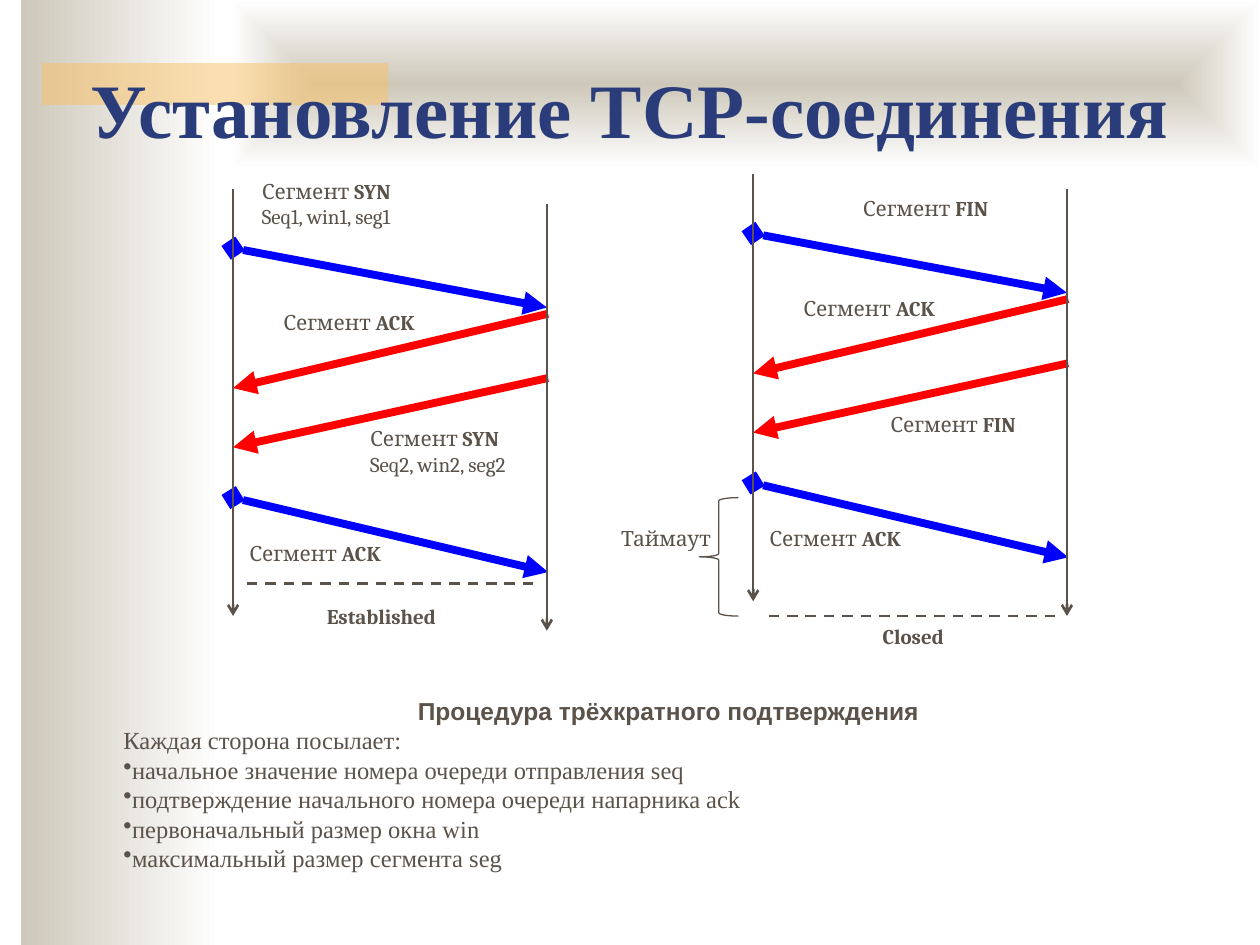
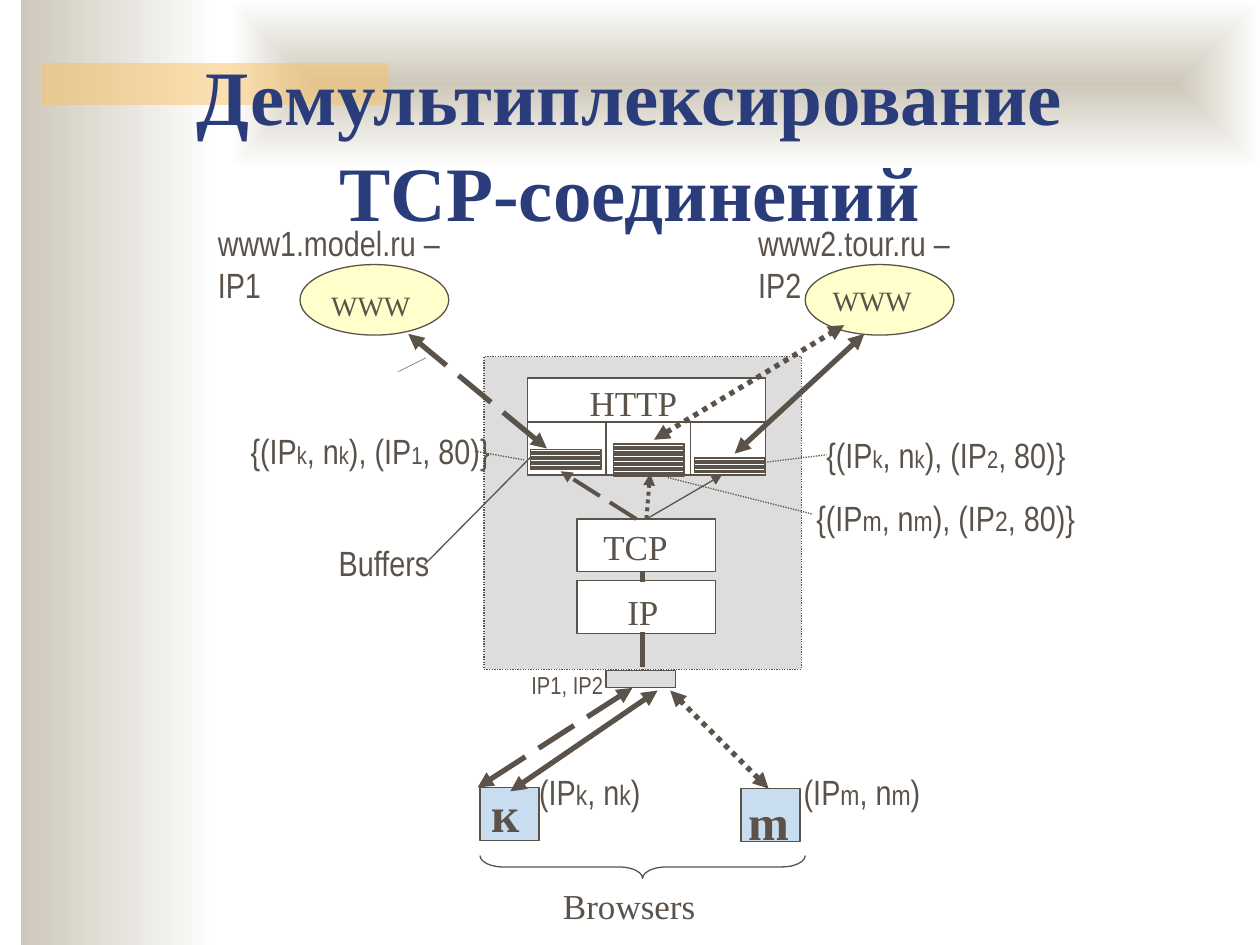
from lxml import etree
from pptx import Presentation
from pptx.dml.color import RGBColor
from pptx.enum.dml import MSO_LINE, MSO_PATTERN
from pptx.enum.shapes import MSO_CONNECTOR, MSO_SHAPE
from pptx.enum.text import PP_ALIGN
from pptx.oxml.ns import qn
from pptx.util import Pt

RECT, OVAL, BRACE = MSO_SHAPE.RECTANGLE, MSO_SHAPE.OVAL, MSO_SHAPE.LEFT_BRACE
STRAIGHT = MSO_CONNECTOR.STRAIGHT
DASH, LONG_DASH, DOTS = MSO_LINE.DASH, MSO_LINE.LONG_DASH, MSO_LINE.ROUND_DOT
STRIPES = MSO_PATTERN.DARK_HORIZONTAL
LEFT, CENTER = PP_ALIGN.LEFT, PP_ALIGN.CENTER

INK = RGBColor(0x5B, 0x52, 0x49)
NAVY = RGBColor(0x2A, 0x3D, 0x7A)
SAND = RGBColor(0xCE, 0xC8, 0xBA)
AMBER = RGBColor(0xFA, 0xC1, 0x64)
WHITE = RGBColor(0xFF, 0xFF, 0xFF)
BLUE = RGBColor(0x00, 0x00, 0xFF)
RED = RGBColor(0xFF, 0x00, 0x00)
GRAY = RGBColor(0xDD, 0xDD, 0xDD)
CREAM = RGBColor(0xFF, 0xFF, 0xCC)
SKY = RGBColor(0xC9, 0xDD, 0xF1)


def font(name, size, bold=False):
    return {"name": name, "size": Pt(size), "bold": bold}


TITLE = font("Times New Roman", 44, True)
SEGMENT, SEGMENT_BOLD = font("Cambria", 12), font("Cambria", 12, True)
BODY, BODY_BOLD = font("Times New Roman", 14), font("Arial", 14, True)
LAYER, SERVER = font("Times New Roman", 20), font("Times New Roman", 16)
CLIENT = font("Times New Roman", 28, True)
ADDRESS, NOTE = font("Arial Narrow", 20), font("Arial Narrow", 14)
INDEX = font("Arial Narrow", 16)

HANDSHAKE_TITLE = ["Установление TCP-соединения"]
SESSIONS = [
    {"shift": (0, 0), "first": (142.6, 98.6),
     "opening": ["Сегмент |SYN", "Seq1, win1, seg1"],
     "reply": ["Сегмент |SYN", "Seq2, win2, seg2"],
     "state": "Established", "state_at": (167, 341.3), "state_line": (141, 333.4)},
    {"shift": (297.2, -8.4), "first": (486, 108),
     "opening": ["Сегмент |FIN"], "reply": ["Сегмент |FIN"],
     "state": "Closed", "state_at": (470.9, 352.8), "state_line": (439.2, 352)},
]
ACK = ["Сегмент |ACK"]
MESSAGES = [
    (133.2, 141.8, 312.5, 175.7, BLUE, "diamond", "triangle"),
    (133.2, 255.6, 313.2, 216, RED, "triangle", None),
    (133.2, 221.8, 313.2, 179.3, RED, "triangle", None),
    (133.2, 284.4, 313.2, 326.9, BLUE, "diamond", "triangle"),
]
TIMELINES = [(133.2, 108), (312.5, 116.4)]
TIMELINE_LENGTH = 244
PROCEDURE = "Процедура трёхкратного подтверждения"
SENDS = "Каждая сторона посылает:"
SENT_VALUES = [
    "начальное значение номера очереди отправления seq",
    "подтверждение начального номера очереди напарника ack",
    "первоначальный размер окна win",
    "максимальный размер сегмента seg",
]

DEMUX_TITLE = ["Демультиплексирование", "TCP-соединений"]
DEMUX_BOXES = [
    (RECT, 276.5, 203.8, 181.4, 178.6, GRAY, DOTS),
    (OVAL, 171.4, 151.2, 85, 40.3, CREAM, None),
    (OVAL, 460.1, 151.2, 85, 40.3, CREAM, None),
    (RECT, 346.3, 383, 39.6, 10, GRAY, None),
    (RECT, 423.4, 450.7, 33.8, 30.2, SKY, None),
    (RECT, 274.3, 450, 33.8, 30.2, SKY, None),
    (RECT, 329.8, 296.6, 79.2, 30.2, WHITE, None),
    (RECT, 329.8, 331.9, 79.2, 30.2, WHITE, None),
    (RECT, 301.3, 241.2, 136, 30.2, WHITE, None),
    (RECT, 301.3, 216, 136, 25.2, WHITE, None),
]
BUFFERS = [(303.1, 257, 11.5), (350.6, 253.4, 18.7), (396.7, 261.4, 8.6)]
BUFFER_WIDTH = 40.3
PLAIN_LINES = [
    (346.3, 241.2, 346.3, 271.4, 0.75, None),
    (394.6, 241.2, 394.6, 271.4, 0.75, None),
    (227.5, 212.4, 243.4, 204.5, 0.25, None),
    (367.2, 380.9, 367.2, 361.4, 3, None),
    (367.2, 332.6, 367.2, 326.2, 3, None),
    (242.6, 322.6, 303.1, 261.4, 0.75, None),
    (381.6, 272.9, 464.4, 293.8, 0.75, DOTS),
    (437, 264.2, 472.3, 259.9, 0.75, DOTS),
    (271.4, 257.8, 299.5, 262.8, 0.75, DOTS),
]
TO_BUFFERS = [
    (363.6, 296.6, 320.4, 269.3, 2.25, LONG_DASH),
    (369.4, 296.6, 371.5, 270.7, 2.25, DOTS),
    (369.4, 296.6, 412.6, 271.4, 0.75, None),
]
CONNECTIONS = [
    (291.6, 452.2, 375.8, 394.6, None),
    (419.8, 259.2, 493.9, 190.8, None),
    (272.9, 450, 361.4, 393.1, LONG_DASH),
    (312.5, 256.3, 233.3, 190.8, LONG_DASH),
    (439.2, 450.7, 383, 394.6, DOTS),
    (373.7, 251.3, 482.4, 185.8, DOTS),
]
DEMUX_LABELS = [
    ("WWW", 182.2, 161.3, 90.7, SERVER, None),
    ("WWW", 468.7, 158.4, 90.7, SERVER, None),
    ("Browsers", 314.6, 501.8, 167, LAYER, None),
    ("к", 273.6, 444.2, 30, CLIENT, None),
    ("m", 420.5, 448.6, 89.3, CLIENT, None),
    ("TCP", 337.7, 296.6, 85.7, LAYER, None),
    ("IP", 351.4, 334.1, 38.9, LAYER, None),
    ("HTTP", 329.8, 214.6, 136, LAYER, None),
    ("www1.model.ru – IP1", 117.4, 123.1, 164.2, ADDRESS, None),
    ("www2.tour.ru – IP2", 426.2, 123.1, 149, ADDRESS, None),
    ("(IP|k|, n|k|)", 301, 437, 96.5, ADDRESS, INDEX),
    ("(IP|m|, n|m|)", 452.2, 437, 119.5, ADDRESS, INDEX),
    ("{(IP|k|, n|k|), (IP|1|, 80)}", 136.1, 241.9, 191.5, ADDRESS, NOTE),
    ("{(IP|k|, n|k|), (IP|2|, 80)}", 465.1, 244.1, 175, ADDRESS, NOTE),
    ("{(IP|m|, n|m|), (IP|2|, 80)}", 459.4, 280.1, 180, ADDRESS, INDEX),
    ("Buffers", 186.5, 306, 79.2, ADDRESS, None),
    ("IP1, IP2", 296.6, 379.4, 63.4, NOTE, None),
]


def add_box(slide, kind, x, y, w, h, fill=None, line=None, width=0.75, dash=None):
    box = slide.shapes.add_shape(kind, Pt(x), Pt(y), Pt(w), Pt(h))
    box.shadow.inherit = False
    if fill is None:
        box.fill.background()
    else:
        box.fill.solid()
        box.fill.fore_color.rgb = fill
    if line is None:
        box.line.fill.background()
    else:
        box.line.color.rgb = line
        box.line.width = Pt(width)
        box.line.dash_style = dash
    return box


def add_line(slide, x1, y1, x2, y2, width=0.75, color=INK, dash=None, head=None, tail=None):
    line = slide.shapes.add_connector(STRAIGHT, Pt(x1), Pt(y1), Pt(x2), Pt(y2))
    line.line.color.rgb = color
    line.line.width = Pt(width)
    line.line.dash_style = dash
    properties = line.element.spPr
    outline = properties.find(qn("a:ln"))
    for tag, end in (("a:headEnd", head), ("a:tailEnd", tail)):
        if end:
            etree.SubElement(outline, qn(tag), type=end)
    etree.SubElement(properties, qn("a:effectLst"))


def add_runs(paragraph, marked, main, other, color=INK):
    for number, part in enumerate(marked.split("|")):
        run = paragraph.add_run()
        run.text = part
        for key, value in (other if number % 2 else main).items():
            setattr(run.font, key, value)
        run.font.color.rgb = color


def add_text(slide, x, y, w, h, lines, main, other=None, color=INK, align=LEFT, fill=None, **layout):
    label = slide.shapes.add_textbox(Pt(x), Pt(y), Pt(w), Pt(h))
    if fill is not None:
        label.fill.solid()
        label.fill.fore_color.rgb = fill
    frame = label.text_frame
    for key, value in {"word_wrap": True, **layout}.items():
        setattr(frame, key, value)
    for number, line in enumerate(lines):
        paragraph = frame.add_paragraph() if number else frame.paragraphs[0]
        paragraph.alignment = align
        add_runs(paragraph, line, main, other, color)
    return frame


def add_title(slide, y, lines):
    frame = add_text(slide, 0, y, 720, 79.2, lines, TITLE, color=NAVY, align=CENTER,
                     margin_top=Pt(9))
    for paragraph in frame.paragraphs[1:]:
        paragraph.space_before = Pt(2)


def decorate(layout, slide):
    side = add_box(slide, RECT, 12, 0, 114, 540)
    top = add_box(slide, RECT, 132, 0, 588, 96)
    accent = add_box(slide, RECT, 24, 36, 198, 24, AMBER)
    for band in (side, top):
        band.fill.gradient()
        band.fill.gradient_angle = 0
        for stop, color in zip(band.fill.gradient_stops, (SAND, WHITE)):
            stop.color.rgb = color
    linear = top.element.spPr.find(".//" + qn("a:lin"))
    shade = etree.Element(qn("a:path"), path="shape")
    etree.SubElement(shade, qn("a:fillToRect"), l="50000", t="50000", r="50000", b="50000")
    linear.getparent().replace(linear, shade)
    tint = accent.element.spPr.find(".//" + qn("a:srgbClr"))
    etree.SubElement(tint, qn("a:alpha"), val="50000")
    for band in (side, top, accent):
        layout.shapes.element.append(band.element)


def draw_session(slide, session):
    dx, dy = session["shift"]
    segments = [
        (142.6, 98.6, 102, 36, session["opening"], None),
        (154.8, 173.5, 136.8, 28.8, ACK, WHITE),
        (204.5, 239.8, 108, 50.4, session["reply"], None),
        (135.4, 305.3, 115.2, 36, ACK, None),
    ]
    for number, (x, y, w, h, lines, fill) in enumerate(segments):
        place = (x + dx, y + dy) if number else session["first"]
        add_text(slide, *place, w, h, lines, SEGMENT, SEGMENT_BOLD, fill=fill)
    for x1, y1, x2, y2, color, head, tail in MESSAGES:
        add_line(slide, x1 + dx, y1 + dy, x2 + dx, y2 + dy, 4.5, color, head=head, tail=tail)
    for x, y in TIMELINES:
        add_line(slide, x + dx, y + dy, x + dx, y + dy + TIMELINE_LENGTH, 1.5, tail="arrow")
    x, y = session["state_line"]
    add_line(slide, x, y, x + 165, y, 1.5, dash=DASH)
    add_text(slide, *session["state_at"], 102, 36, [session["state"]], SEGMENT_BOLD, align=CENTER)


def draw_handshake(slide):
    add_title(slide, 25.9, HANDSHAKE_TITLE)
    for session in SESSIONS:
        draw_session(slide, session)
    add_box(slide, BRACE, 399.6, 284.4, 22.3, 67.7, line=INK)
    add_text(slide, 347.8, 296.6, 102, 36, ["Таймаут"], SEGMENT)
    frame = add_text(slide, 63.4, 360.7, 637.2, 179.3, [PROCEDURE], BODY_BOLD,
                     align=CENTER, margin_top=Pt(37))
    for line in [SENDS, *SENT_VALUES]:
        paragraph = frame.add_paragraph()
        add_runs(paragraph, line, BODY, None)
        if line in SENT_VALUES:
            properties = paragraph._p.get_or_add_pPr()
            properties.set("marL", "0")
            properties.set("indent", "0")
            etree.SubElement(properties, qn("a:buChar"), char="•")


def draw_demux(slide):
    add_title(slide, 18.7, DEMUX_TITLE)
    for kind, x, y, w, h, fill, dash in DEMUX_BOXES:
        add_box(slide, kind, x, y, w, h, fill, INK, dash=dash)
    for x, y, h in BUFFERS:
        pattern = add_box(slide, RECT, x, y, BUFFER_WIDTH, h, line=INK).fill
        pattern.patterned()
        pattern.pattern = STRIPES
        pattern.fore_color.rgb = INK
        pattern.back_color.rgb = WHITE
    for *ends, width, dash in PLAIN_LINES:
        add_line(slide, *ends, width, dash=dash)
    for *ends, width, dash in TO_BUFFERS:
        add_line(slide, *ends, width, dash=dash, tail="triangle")
    for *ends, dash in CONNECTIONS:
        add_line(slide, *ends, 3, dash=dash, head="triangle", tail="triangle")
    brace = add_box(slide, BRACE, 360.7, 402.5, 13, 185.8, line=INK)
    brace.rotation = 270
    brace.adjustments[0] = 1.03
    for text, x, y, w, main, other in DEMUX_LABELS:
        add_text(slide, x, y, w, 28, [text], main, other)


def main():
    deck = Presentation()
    deck.slide_width, deck.slide_height = Pt(720), Pt(540)
    blank = deck.slide_layouts[6]
    handshake, demux = (deck.slides.add_slide(blank) for _ in range(2))
    decorate(blank, handshake)
    draw_handshake(handshake)
    draw_demux(demux)
    deck.save("out.pptx")


if __name__ == "__main__":
    main()
